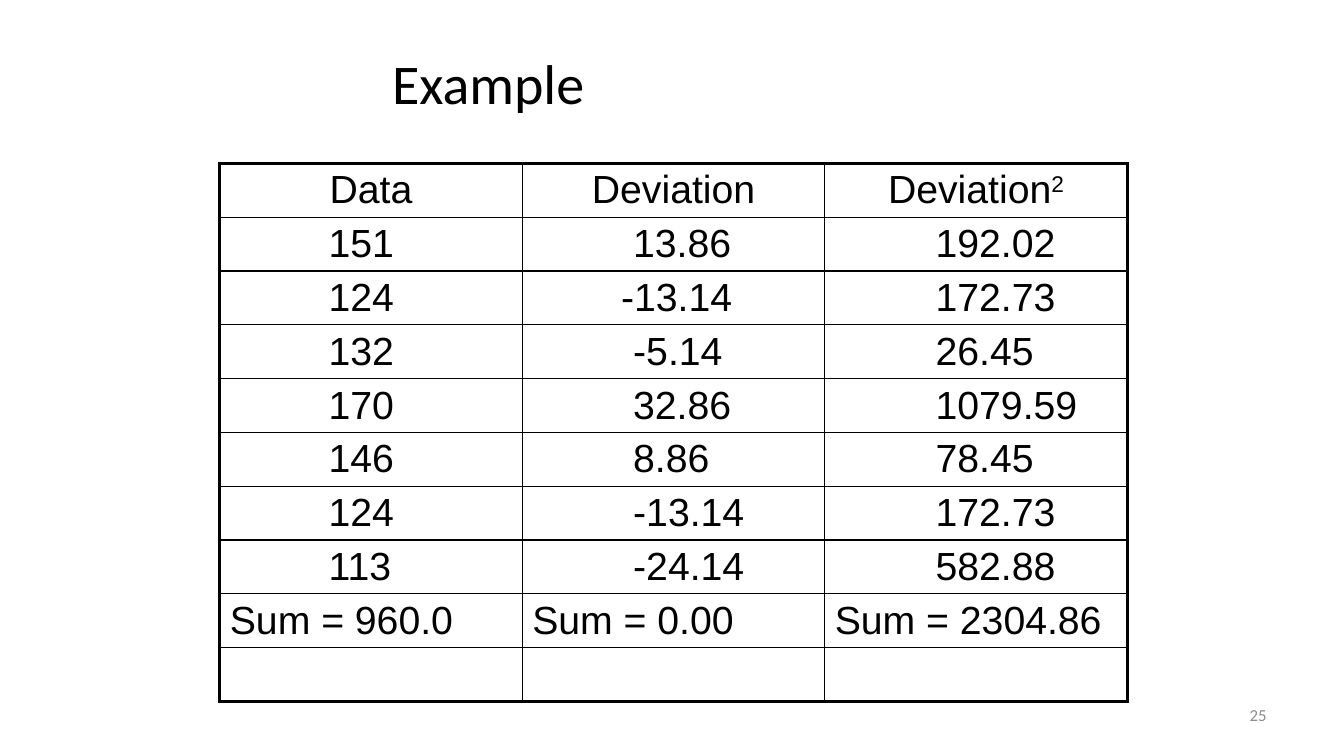
from lxml.etree import SubElement
from pptx import Presentation
from pptx.dml.color import RGBColor
from pptx.enum.text import MSO_ANCHOR as Anchor, PP_ALIGN as Align
from pptx.oxml.ns import qn
from pptx.util import Inches, Pt

COLORS = {"text": "000000", "border": "000000", "number": "8C8C8C"}
HEADINGS = ["Data", "Deviation", "Deviation"]
MEASUREMENTS = [
    ("151", "13.86", "192.02"),
    ("124", "-13.14", "172.73"),
    ("132", "-5.14", "26.45"),
    ("170", "32.86", "1079.59"),
    ("146", "8.86", "78.45"),
    ("124", "-13.14", "172.73"),
    ("113", "-24.14", "582.88"),
]
SUMS = ["Sum = 960.0", "Sum = 0.00", "Sum = 2304.86"]
COLUMN_INDENTS = [0.98, 1, 1]
SPECIAL_INDENTS = {(2, 1): 0.88}
CELL_MARGINS = {"margin_top": Inches(0.05), "margin_bottom": Inches(0.01)}
THIN, THICK = 1, 2.25


def apply_format(target, values):
    """Set each named attribute on the target."""
    for name, value in values.items():
        setattr(target, name, value)


def add_words(paragraph, words, size, font, color="text"):
    """Append a formatted run to the paragraph."""
    run = paragraph.add_run()
    run.text = words
    apply_format(run.font, {"size": Pt(size), "name": font})
    run.font.color.rgb = RGBColor.from_string(COLORS[color])
    return run


def add_label(slide, words, box, size, color, layout):
    """Place a single line of Calibri text in a box."""
    frame = slide.shapes.add_textbox(*map(Inches, box)).text_frame
    apply_format(frame, {"word_wrap": True, "vertical_anchor": Anchor.MIDDLE})
    apply_format(frame.paragraphs[0], layout)
    add_words(frame.paragraphs[0], words, size, "Calibri", color)


def set_borders(cell, widths):
    """Draw the left, right, top and bottom borders of a cell."""
    properties = cell._tc.get_or_add_tcPr()
    for position, (side, width) in enumerate(zip("LRTB", widths)):
        line = SubElement(properties, qn(f"a:ln{side}"), w=str(Pt(width)))
        fill = SubElement(line, qn("a:solidFill"))
        SubElement(fill, qn("a:srgbClr"), val=COLORS["border"])
        properties.insert(position, line)


def indent_value(paragraph, indent):
    """Indent the whole paragraph from the left cell margin."""
    properties = paragraph._p.get_or_add_pPr()
    properties.set("marL", str(Inches(indent)))
    properties.set("indent", "0")


def add_deviation_table(slide):
    """Build the table of values, deviations and sums."""
    rows = [HEADINGS, *MEASUREMENTS, SUMS, [""] * 3]
    last_row, last_column = len(rows) - 1, len(HEADINGS) - 1
    box = map(Inches, (2.18, 1.62, 9, 5.34))
    table = slide.shapes.add_table(len(rows), len(HEADINGS), *box).table
    apply_format(table, {"first_row": False, "horz_banding": False})
    for r, values in enumerate(rows):
        for c, value in enumerate(values):
            cell = table.cell(r, c)
            apply_format(cell, CELL_MARGINS)
            cell.fill.background()
            outer = (c == 0, c == last_column, r == 0, r == last_row)
            set_borders(cell, [THICK if edge else THIN for edge in outer])
            paragraph = cell.text_frame.paragraphs[0]
            if r == 0:
                paragraph.alignment = Align.CENTER
            elif r <= len(MEASUREMENTS):
                indent_value(paragraph, SPECIAL_INDENTS.get((r, c), COLUMN_INDENTS[c]))
            if value:
                add_words(paragraph, value, 28, "Arial")
    square = add_words(table.cell(0, last_column).text_frame.paragraphs[0], "2", 28, "Arial")
    square.font._element.set("baseline", "30000")


def main():
    """Create the example slide and save it."""
    deck = Presentation()
    apply_format(deck, {"slide_width": Inches(13.33), "slide_height": Inches(7.5)})
    slide = deck.slides.add_slide(deck.slide_layouts[6])
    add_label(slide, "25", (9.55, 6.83, 3.11, 0.52), 12, "number", {"alignment": Align.RIGHT})
    add_label(slide, "Example", (3.79, 0.47, 3.03, 0.78), 40, "text", {"line_spacing": 0.9})
    add_deviation_table(slide)
    deck.save("out.pptx")


if __name__ == "__main__":
    main()
